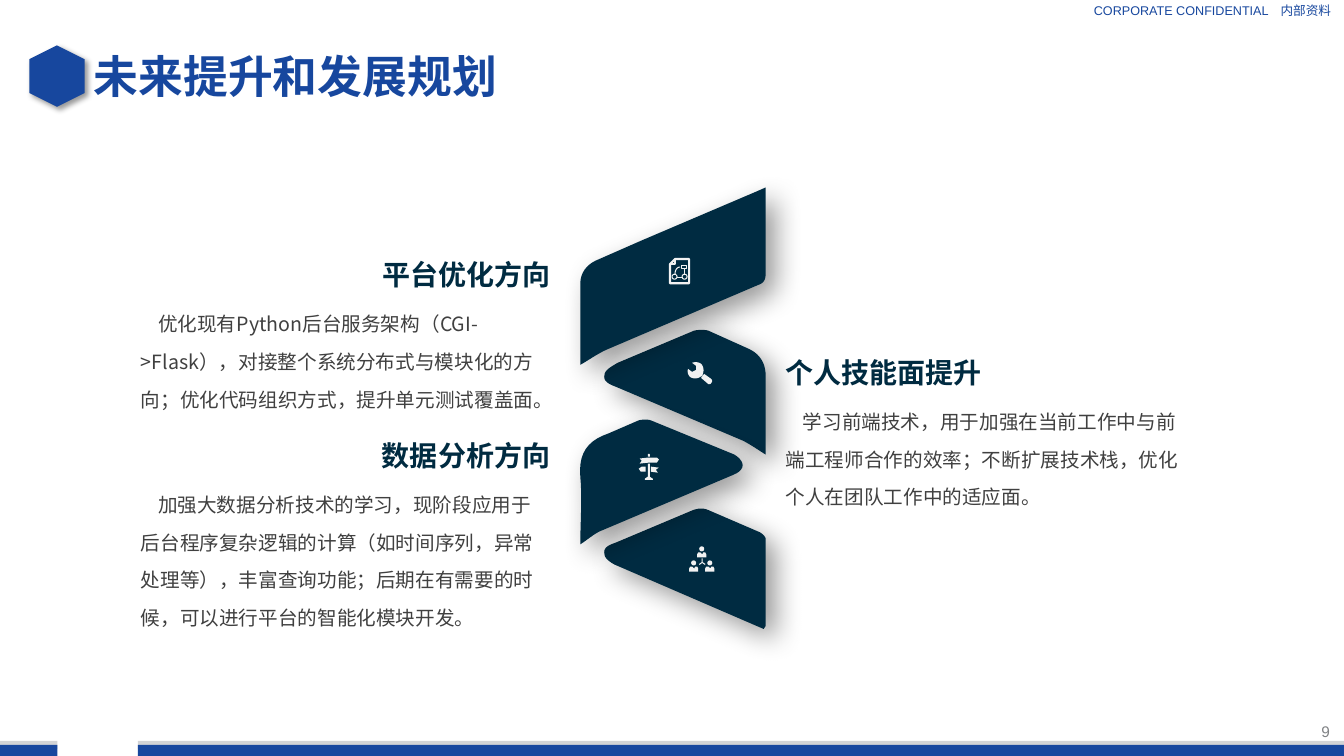
from lxml import etree
from pptx import Presentation
from pptx.dml.color import RGBColor
from pptx.enum.shapes import MSO_SHAPE as Shape
from pptx.enum.text import MSO_ANCHOR as Anchor, PP_ALIGN as Align
from pptx.oxml.ns import qn
from pptx.util import Inches, Pt

BLUE, NAVY = RGBColor(0x17, 0x47, 0x9E), RGBColor(0x00, 0x2B, 0x41)
SILVER, GRAY = RGBColor(0xD2, 0xD3, 0xD5), RGBColor(0x80, 0x82, 0x85)
DARK, PALE = RGBColor(0x40, 0x40, 0x40), RGBColor(0xF2, 0xF2, 0xF2)
NOTO = "Noto Sans CJK SC"

TITLE = "未来提升和发展规划"
# heading, its box, body, its box, heading alignment
TOPICS = [
    ("个人技能面提升", (7.7, 3.48, 2.2, 0.44),
     "学习前端技术，用于加强在当前工作中与前端工程师合作的效率；不断扩展技术栈，优化个人在团队工作中的适应面。",
     (7.7, 3.88, 4.25, 1.23), Align.LEFT),
    ("数据分析方向", (3.6, 4.3, 1.96, 0.44),
     "加强大数据分析技术的学习，现阶段应用于后台程序复杂逻辑的计算（如时间序列，异常处理等），丰富查询功能；后期在有需要的时候，可以进行平台的智能化模块开发。",
     (1.3, 4.7, 4.25, 1.61), Align.RIGHT),
    ("平台优化方向", (3.44, 2.51, 2.12, 0.44),
     "优化现有Python后台服务架构（CGI->Flask），对接整个系统分布式与模块化的方向；优化代码组织方式，提升单元测试覆盖面。",
     (1.3, 2.91, 4.25, 1.23), Align.RIGHT),
]
# Outlines: pairs are corners, sixes are Bezier curves (two controls and an end)
RIBBONS = [
    [(7.6, 4.51), (7.52, 4.46, 7.45, 4.41, 7.37, 4.37), (6.12, 3.84),
     (6.07, 3.82, 5.98, 3.79, 6, 3.72), (6, 3.67, 6.08, 3.63, 6.13, 3.6),
     (6.89, 3.28), (6.94, 3.27, 6.99, 3.27, 7.03, 3.28), (7.43, 3.46),
     (7.54, 3.51, 7.6, 3.6, 7.6, 3.73)],
    [(7.6, 1.86), (7.6, 2.71), (7.6, 2.78, 7.58, 2.81, 7.52, 2.83),
     (6.02, 3.47), (5.93, 3.51, 5.85, 3.57, 5.76, 3.62), (5.76, 2.85),
     (5.75, 2.71, 5.82, 2.62, 5.95, 2.57), (6.36, 2.39), (7.51, 1.9)],
    [(7.58, 6.24), (6.12, 5.61), (6.07, 5.59, 6, 5.54, 6, 5.5),
     (5.98, 5.42, 6.07, 5.4, 6.12, 5.38), (6.88, 5.06),
     (6.94, 5.04, 6.98, 5.04, 7.03, 5.06), (7.54, 5.28),
     (7.56, 5.29, 7.6, 5.32, 7.6, 5.35), (7.6, 6.21)],
    [(5.76, 5.4), (5.76, 5.18, 5.78, 4.95, 5.76, 4.73),
     (5.74, 4.5, 5.83, 4.37, 6.04, 4.3), (6.34, 4.17),
     (6.38, 4.16, 6.43, 4.16, 6.46, 4.17), (7.29, 4.51),
     (7.4, 4.58, 7.4, 4.66, 7.28, 4.71), (5.98, 5.26),
     (5.9, 5.29, 5.84, 5.35, 5.76, 5.4)],
]
WRENCH = [
    [(7.06, 3.76), (6.99, 3.71), (6.96, 3.75), (7.03, 3.81),
     (7.03, 3.81, 7.05, 3.82, 7.06, 3.8), (7.08, 3.78, 7.06, 3.76, 7.06, 3.76)],
    [(6.97, 3.73), (6.98, 3.7), (6.99, 3.67, 6.98, 3.63, 6.96, 3.61),
     (6.93, 3.59, 6.9, 3.59, 6.87, 3.6), (6.91, 3.63), (6.91, 3.67),
     (6.87, 3.69), (6.83, 3.66), (6.82, 3.69, 6.83, 3.72, 6.85, 3.74),
     (6.88, 3.76, 6.92, 3.76, 6.95, 3.74)],
]
SIGNS = [
    [(6.53, 4.69), (6.46, 4.68), (6.46, 4.63), (6.54, 4.64), (6.51, 4.66)],
    [(6.43, 4.53), (6.43, 4.51), (6.43, 4.5, 6.45, 4.5, 6.45, 4.51), (6.45, 4.53)],
    [(6.45, 4.6), (6.45, 4.73), (6.48, 4.75), (6.48, 4.76), (6.4, 4.76),
     (6.4, 4.75), (6.43, 4.73), (6.43, 4.6)],
    [(6.41, 4.68), (6.36, 4.68), (6.34, 4.65), (6.37, 4.63), (6.41, 4.63)],
    [(6.35, 4.55), (6.43, 4.54), (6.52, 4.54), (6.54, 4.56), (6.52, 4.59),
     (6.44, 4.59), (6.35, 4.6), (6.37, 4.57)],
]
PAGE = [[(6.65, 2.62), (6.7, 2.57), (6.84, 2.57), (6.84, 2.81), (6.65, 2.81)],
        [(6.65, 2.62), (6.7, 2.62), (6.7, 2.57)]]
FLOW = [[(6.76, 2.63), (6.81, 2.63), (6.81, 2.66), (6.76, 2.66)]]
LINKS = [[(6.75, 2.65), (6.72, 2.65, 6.7, 2.68, 6.7, 2.72)],
         [(6.79, 2.67), (6.79, 2.72)], [(6.72, 2.75), (6.77, 2.75)]]
NODES = [(6.67, 2.72), (6.77, 2.72)]
TEAM = [(6.92, 5.42), (6.84, 5.56), (7, 5.56)]
BODY = [(0.01, 0.06), (0.03, 0.06), (0.05, 0.08), (0.06, 0.06), (0.08, 0.06),
        (0.09, 0.08), (0.09, 0.11), (0, 0.11), (0, 0.08)]
TIES = [[(6.97, 5.54), (6.97, 5.58), (6.94, 5.6)], [(6.97, 5.58), (7, 5.6)]]

deck = Presentation()
deck.slide_width, deck.slide_height = Inches(13.34), Inches(7.5)
slide = deck.slides.add_slide(deck.slide_layouts[5])
shapes = slide.shapes


def place(box):
    return [Inches(v) for v in box]


def paint(shape, fill, line=None, width=1):
    """Give fill and line colours; None means none."""
    shape.shadow.inherit = False
    for part, color in ((shape.fill, fill), (shape.line.fill, line)):
        if color is None:
            part.background()
        else:
            part.solid()
            part.fore_color.rgb = color
    if line is not None:
        shape.line.width = Pt(width)
    return shape


def shade(shape, blur, dist):
    """Cast a soft black shadow to the lower right."""
    effects = shape._element.spPr.find(qn("a:effectLst"))
    outer = etree.SubElement(effects, qn("a:outerShdw"), blurRad=str(Pt(blur)),
                             dist=str(Pt(dist)), dir="2700000", algn="tl",
                             rotWithShape="0")
    black = etree.SubElement(outer, qn("a:srgbClr"), val="000000")
    etree.SubElement(black, qn("a:alpha"), val="40000")


def flat(outline, steps=10):
    """Turn corners and curves into points in EMU."""
    points = []
    for item in outline:
        if len(item) == 2:
            points.append(item)
            continue
        knots = [points[-1], item[:2], item[2:4], item[4:]]
        for n in range(1, steps + 1):
            t = n / steps
            mix = ((1 - t) ** 3, 3 * t * (1 - t) ** 2, 3 * t * t * (1 - t), t ** 3)
            points.append(tuple(sum(m * k[i] for m, k in zip(mix, knots))
                                for i in (0, 1)))
    return [tuple(place(p)) for p in points]


def draw(outlines, fill, line=None, width=1, close=True):
    first, *rest = map(flat, outlines)
    pen = shapes.build_freeform(*first[0], scale=1.0)
    pen.add_line_segments(first[1:], close=close)
    for points in rest:
        pen.move_to(*points[0])
        pen.add_line_segments(points[1:], close=close)
    return paint(pen.convert_to_shape(), fill, line, width)


def preset(kind, box, fill, line=None, width=1):
    return paint(shapes.add_shape(kind, *place(box)), fill, line, width)


def write(box, text, size, color, font=NOTO, bold=False, align=Align.LEFT,
          inset=(0.1, 0.05), anchor=Anchor.TOP, holder=None):
    holder = holder or shapes.add_textbox(0, 0, 0, 0)
    holder.left, holder.top, holder.width, holder.height = place(box)
    frame = holder.text_frame
    frame.word_wrap, frame.vertical_anchor = True, anchor
    frame.margin_left = frame.margin_right = Inches(inset[0])
    frame.margin_top = frame.margin_bottom = Inches(inset[1])
    para = frame.paragraphs[0]
    para.text, para.alignment = text, align
    face = para.font
    face.size, face.bold, face.name = Pt(size), bold, font
    face.color.rgb = color
    props = para._p.get_or_add_pPr().find(qn("a:defRPr"))
    etree.SubElement(props, qn("a:ea"), typeface=NOTO)
    return para


for left, width in ((0, 0.57), (1.37, 11.97)):
    preset(Shape.RECTANGLE, (left, 7.35, width, 0.08), SILVER)
    preset(Shape.RECTANGLE, (left, 7.39, width, 0.12), BLUE)
write((10.76, 0, 1.93, 0.2), "CORPORATE CONFIDENTIAL", 9, BLUE, "Arial",
      align=Align.CENTER, inset=(0.04, 0.04), anchor=Anchor.MIDDLE)
write((12.5, 0, 0.71, 0.2), "内部资料", 9, BLUE, "Arial",
      align=Align.RIGHT, inset=(0, 0.04), anchor=Anchor.MIDDLE)
badge = preset(Shape.HEXAGON, (0.26, 0.48, 0.61, 0.55), BLUE)
badge.rotation = 90
shade(badge, 4, 3)
write((0.85, 0.33, 11.65, 0.84), TITLE, 32, BLUE, "Arial", True,
      inset=(0.08, 0.04), anchor=Anchor.MIDDLE, holder=shapes.title)
write((12.77, 7.18, 0.43, 0.16), "9", 11, GRAY, "Arial",
      align=Align.RIGHT, inset=(0, 0), anchor=Anchor.MIDDLE)

for ribbon in RIBBONS:
    shade(draw([ribbon], NAVY), 20, 10)

for icon in (WRENCH, SIGNS):
    draw(icon, PALE)
draw(PAGE[:1], None, PALE, 1.5)
draw(PAGE[1:], None, PALE, 1, close=False)
draw(FLOW, None, PALE, 0.75)
draw(LINKS, None, PALE, 0.75, close=False)
for x, y in NODES:
    preset(Shape.OVAL, (x, y, 0.05, 0.05), None, PALE, 0.75)
for x, y in TEAM:
    preset(Shape.OVAL, (x + 0.02, y, 0.05, 0.05), PALE)
    draw([[(x + dx, y + dy) for dx, dy in BODY]], PALE)
draw(TIES, None, PALE, 0.75, close=False)

for head, head_box, body, body_box, align in TOPICS:
    para = write(body_box, body, 14, DARK)
    para.line_spacing = 1.6
    para._p.get_or_add_pPr().set("indent", str(Inches(0.17)))
    write(head_box, head, 20, NAVY, bold=True, align=align)

deck.save("out.pptx")
